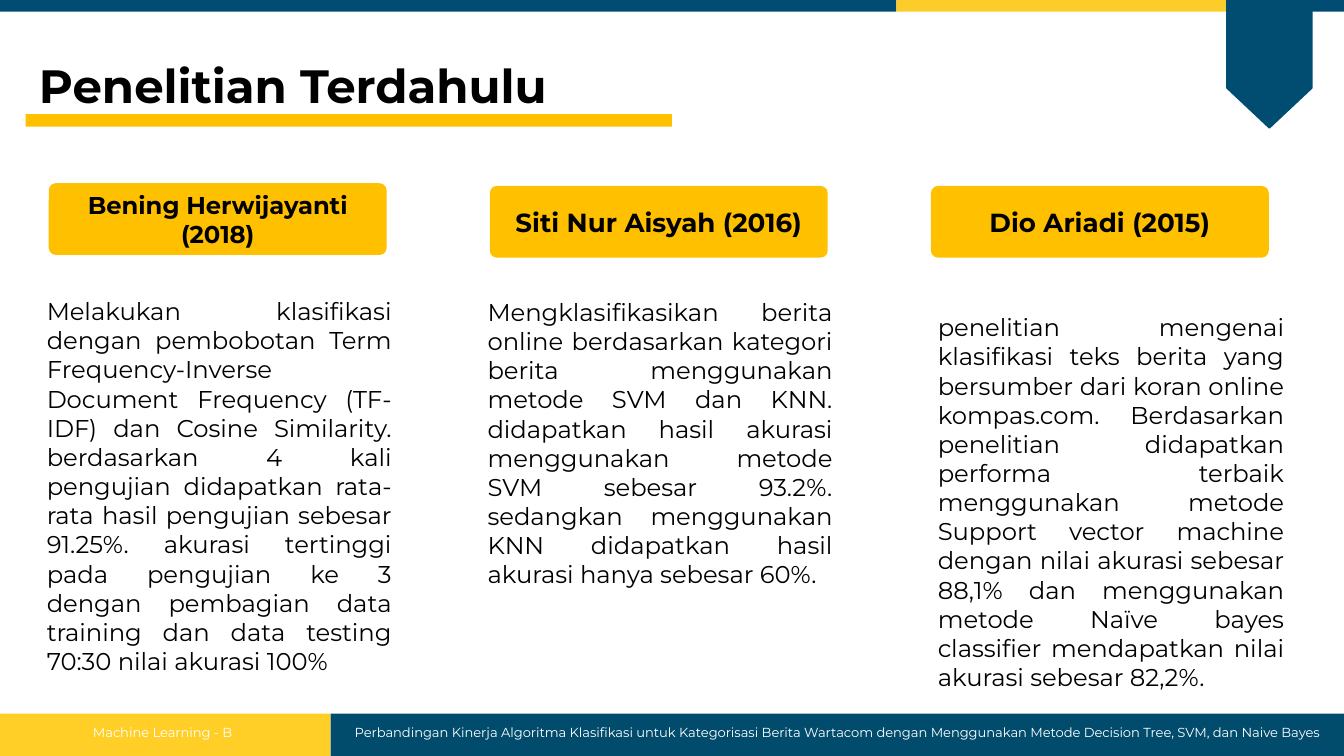
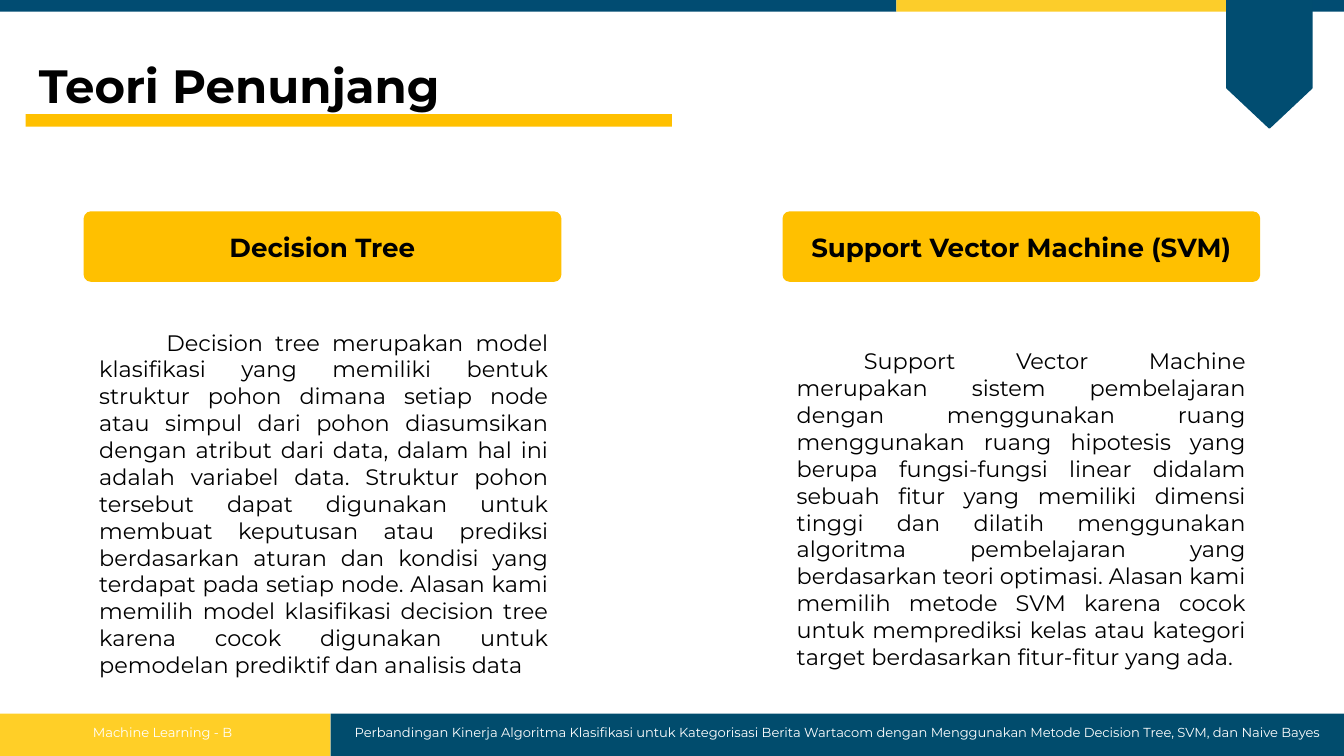
from pptx import Presentation
from pptx.dml.color import RGBColor
from pptx.enum.shapes import MSO_SHAPE
from pptx.enum.text import MSO_ANCHOR, MSO_AUTO_SIZE, PP_ALIGN
from pptx.util import Inches, Pt

RECT, ROUND, PLATE = MSO_SHAPE.RECTANGLE, MSO_SHAPE.ROUNDED_RECTANGLE, MSO_SHAPE.PENTAGON
LEFT, MID, JUST = PP_ALIGN.LEFT, PP_ALIGN.CENTER, PP_ALIGN.JUSTIFY
TOP, CORE = MSO_ANCHOR.TOP, MSO_ANCHOR.MIDDLE
FIXED = MSO_AUTO_SIZE.NONE

FONT = "Montserrat"
HUES = {
    "white": "FFFFFF", "black": "000000", "gold": "FFC000",
    "foot": "FFCF27", "base": "014C6D",
    "band": "014C72", "sun": "FCCD2A", "flag": "014D71",
}
WIDE = Inches(10)
HIGH = WIDE * 9 // 16
COLS = 100                  # square grid cells across the slide
ROWS = COLS * 9 / 16        # and down it

COURSE = "Machine Learning - B"
TOPIC = ("Perbandingan Kinerja Algoritma Klasifikasi untuk Kategorisasi Berita Wartacom "
         "dengan Menggunakan Metode Decision Tree, SVM, dan Naive Bayes")

# Heading, heading size, heading row, body box, body text
PAST = [
    ("Bening Herwijayanti (2018)", 13, 13.7, (2.5, 20.9, 27.6, 30.5),
     "Melakukan klasifikasi dengan pembobotan Term Frequency-Inverse Document Frequency "
     "(TF-IDF) dan Cosine Similarity. berdasarkan 4 kali pengujian didapatkan rata-rata "
     "hasil pengujian sebesar 91.25%. akurasi tertinggi pada pengujian ke 3 dengan "
     "pembagian data training dan data testing 70:30 nilai akurasi 100%"),
    ("Siti Nur Aisyah (2016)", 14, 13.9, (35.3, 21, 27.6, 23.9),
     "Mengklasifikasikan berita online berdasarkan kategori berita menggunakan metode SVM "
     "dan KNN. didapatkan hasil akurasi menggunakan metode SVM sebesar 93.2%. sedangkan "
     "menggunakan KNN didapatkan hasil akurasi hanya sebesar 60%."),
    ("Dio Ariadi (2015)", 14, 13.9, (68.8, 21, 27.7, 32.7),
     "penelitian mengenai klasifikasi teks berita yang bersumber dari koran online "
     "kompas.com. Berdasarkan penelitian didapatkan performa terbaik menggunakan metode "
     "Support vector machine dengan nilai akurasi sebesar 88,1% dan menggunakan metode "
     "Naïve bayes classifier mendapatkan nilai akurasi sebesar 82,2%."),
]
THEORY = [
    ("Decision Tree", 14, 15.8, (6.4, 23.7, 35.4, 27.5),
     "Decision tree merupakan model klasifikasi yang memiliki bentuk struktur pohon dimana "
     "setiap node atau simpul dari pohon diasumsikan dengan atribut dari data, dalam hal "
     "ini adalah variabel data. Struktur pohon tersebut dapat digunakan untuk membuat "
     "keputusan atau prediksi berdasarkan aturan dan kondisi yang terdapat pada setiap "
     "node. Alasan kami memilih model klasifikasi decision tree karena cocok digunakan "
     "untuk pemodelan prediktif dan analisis data"),
    ("Support Vector Machine (SVM)", 14, 15.8, (58.3, 24.7, 35.4, 26.3),
     "Support Vector Machine merupakan sistem pembelajaran dengan menggunakan ruang "
     "menggunakan ruang hipotesis yang berupa fungsi-fungsi linear didalam sebuah fitur "
     "yang memiliki dimensi tinggi dan dilatih menggunakan algoritma pembelajaran yang "
     "berdasarkan teori optimasi. Alasan kami memilih metode SVM karena cocok untuk "
     "memprediksi kelas atau kategori target berdasarkan fitur-fitur yang ada."),
]


def hue(name):
    return RGBColor.from_string(HUES[name])


def write(shape, text, size=13, color="black", bold=False, align=MID, anchor=CORE,
          pad=0.1, after=0, lead=None, indent=0):
    """Fill a shape with one formatted paragraph."""
    frame = shape.text_frame
    frame.word_wrap, frame.auto_size = True, FIXED
    frame.vertical_anchor = anchor
    frame.margin_left = frame.margin_right = Inches(0.1)
    frame.margin_top = frame.margin_bottom = Inches(pad)
    para = frame.paragraphs[0]
    para.alignment = align
    para.space_before, para.space_after = Pt(0), Pt(after)
    if lead:
        para.line_spacing = lead
    if indent:
        props = para._p.get_or_add_pPr()
        props.set("marL", "0")
        props.set("indent", str(Inches(indent)))
    run = para.add_run()
    run.text = text
    run.font.name, run.font.size, run.font.bold = FONT, Pt(size), bold
    run.font.color.rgb = hue(color)


class Deck:
    """Holds the style and the current slide."""

    def __init__(self):
        self.file = Presentation()
        self.file.slide_width, self.file.slide_height = WIDE, HIGH
        self.slide = None

    def place(self, x, y, w, h):
        col, row = WIDE / COLS, HIGH / ROWS
        return round(x * col), round(y * row), round(w * col), round(h * row)

    def block(self, box, color, kind=RECT, edge=False, adj=None):
        shape = self.slide.shapes.add_shape(kind, *self.place(*box))
        shape.shadow.inherit = False
        shape.fill.solid()
        shape.fill.fore_color.rgb = hue(color)
        if edge:
            shape.line.color.rgb = hue(color)
            shape.line.width = Pt(1)
        else:
            shape.line.fill.background()
        if adj:
            shape.adjustments[0] = adj
        return shape

    def title(self, text):
        shape = self.slide.shapes.title
        shape.left, shape.top, shape.width, shape.height = self.place(1.9, 4.6, 48.1, 3.9)
        write(shape, text, size=25, bold=True, align=LEFT, pad=0.05, lead=0.9)

    def pill(self, box, text, size):
        write(self.block(box, "gold", ROUND, True, 0.09), text, size=size, bold=True)

    def body(self, box, text, **form):
        write(self.slide.shapes.add_textbox(*self.place(*box)), text, align=JUST, **form)

    def page(self, name):
        """Start a slide with its shared bands, flag, footer and title."""
        self.slide = self.file.slides.add_slide(self.file.slide_layouts[5])
        self.slide.background.fill.solid()
        self.slide.background.fill.fore_color.rgb = hue("white")
        # Footer
        for x, w, color, text in ((-0.4, 25, "foot", COURSE), (24.6, 75.4, "base", TOPIC)):
            write(self.block((x, 53.1, w, 3.2), color), text,
                  size=7, color="white", anchor=TOP, pad=0.08, after=10)
        # Top band
        for x, w, color in ((0, 66.7, "band"), (66.7, 28.8, "sun"), (95.4, 4.6, "band")):
            self.block((x, -0.05, w, 0.93), color)
        # Flag and title rule
        self.block((89.7, 1.6, 9.5, 6.3), "flag", PLATE, True, 0.47).rotation = 90
        self.block((1.9, 8.5, 48.1, 0.93), "gold")
        self.title(name)

    def panels(self, items, start, step, width, height, **form):
        """Set headed columns at equal steps."""
        for i, (head, size, row, box, text) in enumerate(items):
            self.pill((start + i * step, row, width, height), head, size)
            self.body(box, text, **form)


def main():
    deck = Deck()

    # Earlier studies
    deck.page("Penelitian Terdahulu")
    deck.panels(PAST, 3.7, 32.82, 25, 5.2, size=13, after=10)

    # Supporting theory
    deck.page("Teori Penunjang")
    deck.panels(THEORY, 6.3, 52, 35.4, 5.1, size=12, indent=0.5)

    deck.file.save("out.pptx")


if __name__ == "__main__":
    main()
